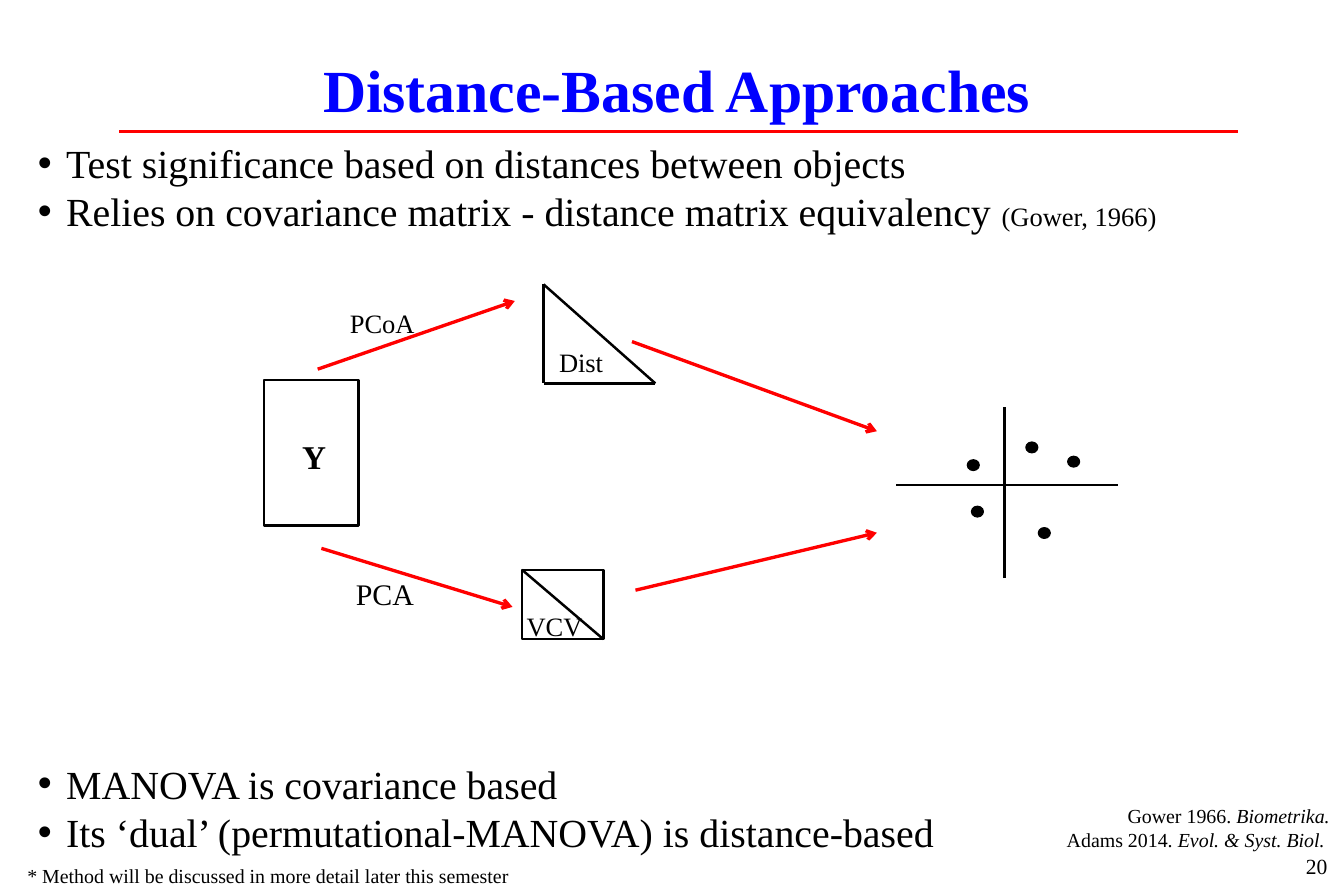
from itertools import pairwise

from lxml.etree import SubElement
from pptx import Presentation
from pptx.dml.color import RGBColor
from pptx.enum.shapes import MSO_CONNECTOR, MSO_SHAPE
from pptx.enum.text import MSO_ANCHOR, PP_ALIGN
from pptx.oxml.ns import qn
from pptx.util import Pt

BLACK = RGBColor(0x00, 0x00, 0x00)
BLUE = RGBColor(0x00, 0x00, 0xFF)
RED = RGBColor(0xFF, 0x00, 0x00)
FONT = "Times New Roman"


def add_run(paragraph, text, size, color=BLACK, bold=False, italic=False):
    run = paragraph.add_run()
    run.text = text
    font = run.font
    font.name, font.size = FONT, Pt(size)
    font.bold, font.italic = bold, italic
    font.color.rgb = color


def add_text_frame(slide, left, top, width, height, wrap=True, anchor=MSO_ANCHOR.TOP):
    box = slide.shapes.add_textbox(Pt(left), Pt(top), Pt(width), Pt(height))
    frame = box.text_frame
    frame.word_wrap = wrap
    frame.vertical_anchor = anchor
    return frame


def add_label(slide, text, left, top, width, height, size, align=PP_ALIGN.LEFT,
              wrap=True, anchor=MSO_ANCHOR.TOP, **style):
    frame = add_text_frame(slide, left, top, width, height, wrap, anchor)
    paragraph = frame.paragraphs[0]
    paragraph.alignment = align
    add_run(paragraph, text, size, **style)


def next_paragraph(frame, index):
    return frame.add_paragraph() if index else frame.paragraphs[0]


def add_bullets(slide):
    """Four bullets, with room for the diagram between the second and third."""
    bullets = [
        (0, [("Test significance based on distances between objects", 24)]),
        (0, [("Relies on covariance matrix - distance matrix equivalency ", 24),
             ("(Gower, 1966)", 16)]),
        (316, [("MANOVA is covariance based", 24)]),
        (0, [("Its ‘dual’ (permutational-MANOVA) is distance-based", 24)]),
    ]
    frame = add_text_frame(slide, 15.8, 79.9, 771, 415)
    for index, (space_before, runs) in enumerate(bullets):
        paragraph = next_paragraph(frame, index)
        paragraph.line_spacing = Pt(29)
        paragraph.space_before = Pt(space_before)
        properties = paragraph._p.get_or_add_pPr()
        properties.set("marL", str(Pt(17)))
        properties.set("indent", str(Pt(-17)))
        SubElement(properties, qn("a:buFont"), typeface="Arial")
        SubElement(properties, qn("a:buChar"), char="•")
        for text, size in runs:
            add_run(paragraph, text, size)


def add_references(slide):
    references = [("Gower 1966. ", "Biometrika."),
                  ("Adams 2014. ", "Evol. & Syst. Biol. ")]
    frame = add_text_frame(slide, 619.2, 481, 189.4, 36)
    for index, (author, journal) in enumerate(references):
        paragraph = next_paragraph(frame, index)
        paragraph.alignment = PP_ALIGN.RIGHT
        add_run(paragraph, author, 12)
        add_run(paragraph, journal, 12, italic=True)


def add_line(slide, start, end, color=BLACK, width=1.5, arrow=False):
    connector = slide.shapes.add_connector(
        MSO_CONNECTOR.STRAIGHT, *(Pt(value) for value in (*start, *end)))
    connector.line.color.rgb = color
    connector.line.width = Pt(width)
    if arrow:
        SubElement(connector.line._get_or_add_ln(), qn("a:tailEnd"), type="arrow")
    SubElement(connector._element.spPr, qn("a:effectLst"))


def add_outline(slide, kind, left, top, width, height, fill=None, line_width=1.5):
    shape = slide.shapes.add_shape(kind, Pt(left), Pt(top), Pt(width), Pt(height))
    shape.shadow.inherit = False
    if fill is None:
        shape.fill.background()
    else:
        shape.fill.solid()
        shape.fill.fore_color.rgb = fill
    shape.line.color.rgb = BLACK
    shape.line.width = Pt(line_width)


def add_data_matrix(slide):
    add_outline(slide, MSO_SHAPE.RECTANGLE, 159.1, 229, 56.9, 87.8)
    add_label(slide, "Y", 175, 259.2, 28.8, 31.7, 20, wrap=False, bold=True)


def add_distance_matrix(slide):
    top, corner, right = (327.6, 171.4), (327.6, 231.1), (395, 231.1)
    for start, end in pairwise([top, corner, right, top]):
        add_line(slide, start, end)
    add_label(slide, "Dist", 329.8, 205.2, 41.8, 26.6, 16, wrap=False)


def add_covariance_matrix(slide):
    left, top, width, height = 314.6, 343.4, 49, 41.8
    add_label(slide, "VCV", 310.3, 364.3, 48.2, 26.6, 16, wrap=False)
    add_outline(slide, MSO_SHAPE.RECTANGLE, left, top, width, height)
    add_line(slide, (left, top), (left + width, top + height))


def add_ordination(slide):
    add_line(slide, (540, 292.3), (673.9, 292.3))
    add_line(slide, (605.5, 348.5), (605.5, 245.5))
    for left, top in [(618.3, 266.4), (583, 277.1), (643.5, 275),
                      (585.5, 305.1), (625.8, 318)]:
        add_outline(slide, MSO_SHAPE.OVAL, left, top, 7.2, 6.5, BLACK, 0.75)


def main():
    presentation = Presentation()
    presentation.slide_width, presentation.slide_height = Pt(810), Pt(540)
    slide = presentation.slides.add_slide(presentation.slide_layouts[6])

    add_bullets(slide)
    add_label(slide, "Distance-Based Approaches", 5.8, 8.6, 804.2, 90, 36,
              PP_ALIGN.CENTER, anchor=MSO_ANCHOR.MIDDLE, color=BLUE, bold=True)
    add_line(slide, (72, 79.2), (745.9, 79.2), RED)

    add_data_matrix(slide)
    add_covariance_matrix(slide)
    add_ordination(slide)
    add_label(slide, "PCA", 207.4, 343.4, 60.5, 28.8, 18)
    add_distance_matrix(slide)
    add_label(slide, "PCoA", 203.8, 181.4, 61.9, 26.6, 16)
    for start, end in [((193.7, 330.5), (308.9, 365.8)),
                       ((383, 355.7), (528.5, 321.1)),
                       ((191.5, 222.5), (310.3, 181.4)),
                       ((380.9, 205.9), (528.5, 259.9))]:
        add_line(slide, start, end, RED, 2, arrow=True)

    add_references(slide)
    add_label(slide, "20", 638.6, 504, 168.5, 36, 13, PP_ALIGN.RIGHT,
              anchor=MSO_ANCHOR.MIDDLE)
    add_label(slide, "* Method will be discussed in more detail later this semester",
              9.4, 517, 391.7, 21.6, 12)
    presentation.save("out.pptx")


if __name__ == "__main__":
    main()
